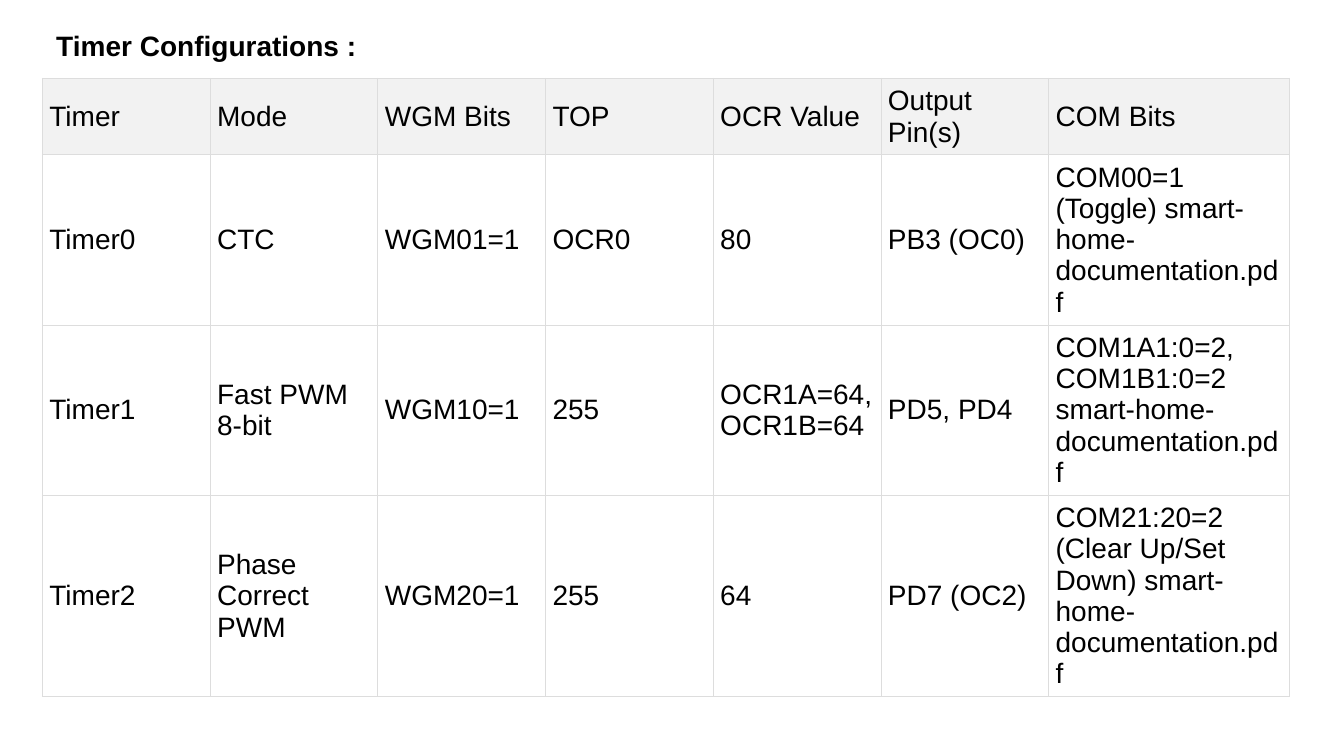
from lxml.etree import SubElement
from pptx import Presentation
from pptx.dml.color import RGBColor
from pptx.enum.text import MSO_ANCHOR, MSO_AUTO_SIZE
from pptx.oxml.ns import qn
from pptx.util import Pt

BLACK = RGBColor(0x00, 0x00, 0x00)
HEADER_GREY = RGBColor(0xF2, 0xF2, 0xF2)
BORDER_GREY = RGBColor(0xDD, 0xDD, 0xDD)

COLUMN_WIDTHS = [119.8] * 6 + [172.1]
ROW_HEIGHTS = [54.5, 121.4, 121.4, 144]
CELL_MARGIN = Pt(5)
TIMER_ROWS = [
    ["Timer", "Mode", "WGM Bits", "TOP", "OCR Value", "Output Pin(s)", "COM Bits"],
    ["Timer0", "CTC", "WGM01=1", "OCR0", "80", "PB3 (OC0)",
     "COM00=1 (Toggle) smart-home-documentation.pdf"],
    ["Timer1", "Fast PWM 8-bit", "WGM10=1", "255", "OCR1A=64, OCR1B=64", "PD5, PD4",
     "COM1A1:0=2, COM1B1:0=2 smart-home-documentation.pdf"],
    ["Timer2", "Phase Correct PWM", "WGM20=1", "255", "64", "PD7 (OC2)",
     "COM21:20=2 (Clear Up/Set Down) smart-home-documentation.pdf"],
]


def write_text(text_frame, text, bold=False):
    text_frame.text = text
    font = text_frame.paragraphs[0].runs[0].font
    font.name = "Arial"
    font.size = Pt(20)
    font.bold = bold
    font.color.rgb = BLACK


def add_borders(cell):
    properties = cell._tc.get_or_add_tcPr()
    for side in ("a:lnL", "a:lnR", "a:lnT", "a:lnB"):
        line = SubElement(properties, qn(side), w=str(Pt(0.75)))
        fill = SubElement(line, qn("a:solidFill"))
        SubElement(fill, qn("a:srgbClr"), val=str(BORDER_GREY))


presentation = Presentation()
presentation.slide_width = Pt(960)
presentation.slide_height = Pt(540)
slide = presentation.slides.add_slide(presentation.slide_layouts[6])

# Timer table
table_shape = slide.shapes.add_table(
    len(ROW_HEIGHTS), len(COLUMN_WIDTHS),
    Pt(30.3), Pt(56), Pt(sum(COLUMN_WIDTHS)), Pt(sum(ROW_HEIGHTS)))
table = table_shape.table
table.horz_banding = False
for column, width in zip(table.columns, COLUMN_WIDTHS):
    column.width = Pt(width)
for row, height in zip(table.rows, ROW_HEIGHTS):
    row.height = Pt(height)

for row_index, timer_row in enumerate(TIMER_ROWS):
    for column_index, text in enumerate(timer_row):
        cell = table.cell(row_index, column_index)
        write_text(cell.text_frame, text)
        cell.vertical_anchor = MSO_ANCHOR.MIDDLE
        cell.margin_left = cell.margin_right = CELL_MARGIN
        cell.margin_top = cell.margin_bottom = CELL_MARGIN
        add_borders(cell)
        if row_index == 0:
            cell.fill.solid()
            cell.fill.fore_color.rgb = HEADER_GREY
        else:
            cell.fill.background()

# Heading
heading = slide.shapes.add_textbox(Pt(33.1), Pt(16.6), Pt(230.4), Pt(31.5))
heading.text_frame.word_wrap = False
heading.text_frame.auto_size = MSO_AUTO_SIZE.SHAPE_TO_FIT_TEXT
write_text(heading.text_frame, "Timer Configurations :", bold=True)

presentation.save("out.pptx")
